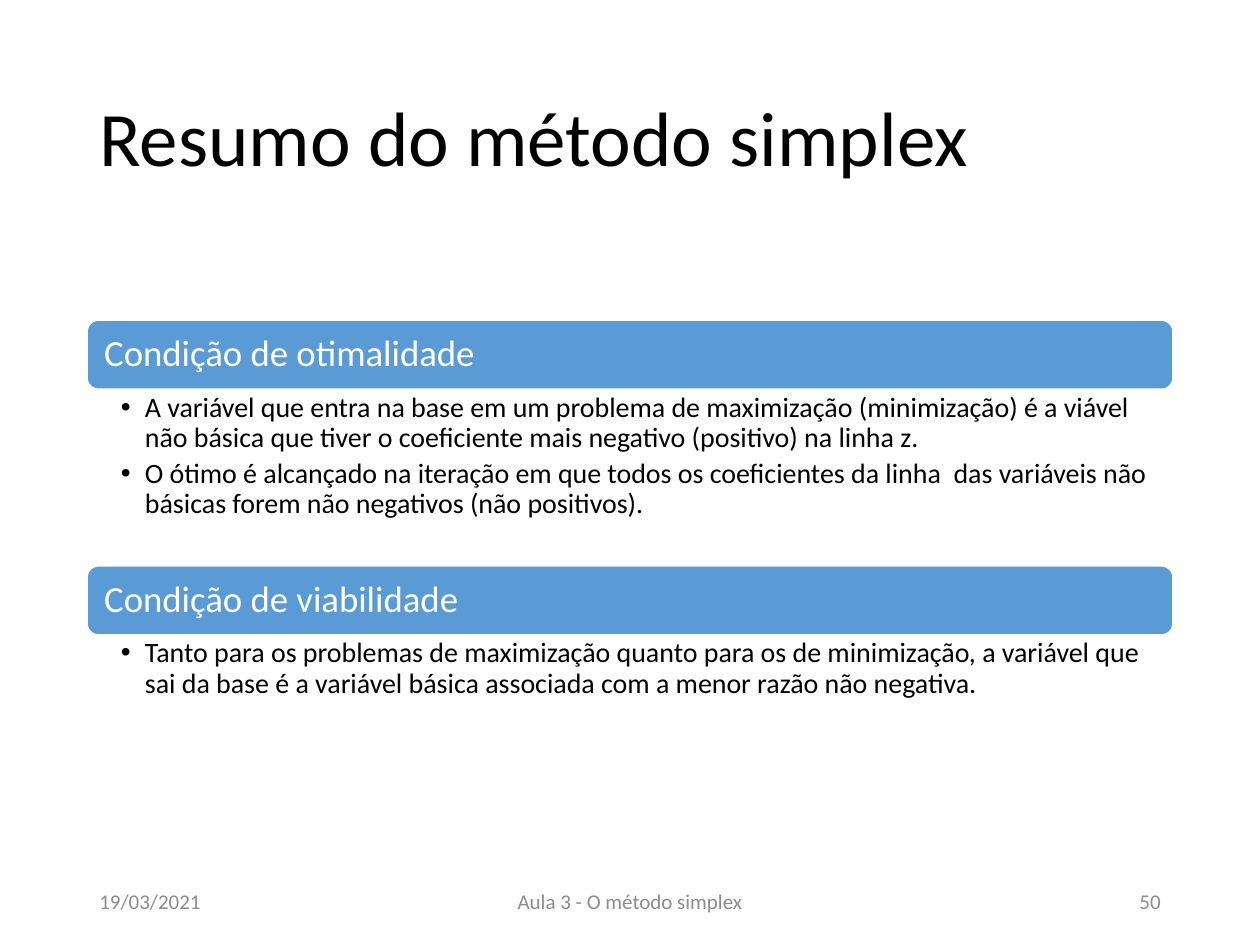
from dataclasses import dataclass

from lxml import etree
from pptx import Presentation
from pptx.dml.color import RGBColor
from pptx.enum.shapes import MSO_SHAPE
from pptx.enum.text import MSO_ANCHOR, PP_ALIGN
from pptx.oxml.ns import qn
from pptx.util import Inches, Pt

ROUND = MSO_SHAPE.ROUNDED_RECTANGLE
TOP, MID = MSO_ANCHOR.TOP, MSO_ANCHOR.MIDDLE
LEFT, MIDDLE, RIGHT = PP_ALIGN.LEFT, PP_ALIGN.CENTER, PP_ALIGN.RIGHT

WIDE, HIGH = 10, 7.5
EDGE = 0.69
SPAN = WIDE - 2 * EDGE
BAR = 0.55
FONT = "Calibri"
COLORS = {"bar": "5B9BD5", "white": "FFFFFF", "ink": "000000", "gray": "8C8C8C"}


@dataclass
class Box:
    x: float
    y: float
    w: float
    h: float


@dataclass
class Style:
    size: float
    color: str
    anchor: MSO_ANCHOR = MID
    align: PP_ALIGN = LEFT
    pads: tuple = (0.1, 0.05, 0.1, 0.05)
    line: float = 1.0
    after: float = 0
    bullet: bool = False


@dataclass
class Part:
    head: str
    items: list
    depth: float


TITLE = Style(44, "ink", line=0.9)
HEAD = Style(21, "white", pads=(0.11, 0.09, 0.11, 0.09), line=0.9)
ITEM = Style(16, "ink", TOP, pads=(0.27, 0.03, 0.16, 0.03),
             line=0.9, after=3.2, bullet=True)

PARTS = [
    Part("Condição de otimalidade", [
        "A variável que entra na base em um problema de maximização (minimização) "
        "é a viável não básica que tiver o coeficiente mais negativo (positivo) na linha z.",
        "O ótimo é alcançado na iteração em que todos os coeficientes da linha  das "
        "variáveis não básicas forem não negativos (não positivos).",
    ], 1.4),
    Part("Condição de viabilidade", [
        "Tanto para os problemas de maximização quanto para os de minimização, a variável "
        "que sai da base é a variável básica associada com a menor razão não negativa.",
    ], 0.86),
]
FOOT = [
    ("19/03/2021", EDGE, 2.25, LEFT),
    ("Aula 3 - O método simplex", 3.31, 3.38, MIDDLE),
    ("50", 7.06, 2.25, RIGHT),
]


def tint(name: str) -> RGBColor:
    return RGBColor.from_string(COLORS[name])


def place(box: Box) -> list:
    return [Inches(n) for n in (box.x, box.y, box.w, box.h)]


def add_dot(para) -> None:
    props = para._p.get_or_add_pPr()
    for key, inch in {"marL": 0.19, "indent": -0.19}.items():
        props.set(key, str(Inches(inch)))
    etree.SubElement(props, qn("a:buFont")).set("typeface", "Arial")
    etree.SubElement(props, qn("a:buChar")).set("char", "•")


def write(frame, lines: list, style: Style) -> None:
    sides = ("margin_left", "margin_top", "margin_right", "margin_bottom")
    form = dict(zip(sides, map(Inches, style.pads)))
    form |= {"word_wrap": True, "vertical_anchor": style.anchor}
    for key, value in form.items():
        setattr(frame, key, value)
    for i, line in enumerate(lines):
        para = frame.add_paragraph() if i else frame.paragraphs[0]
        look = {"alignment": style.align, "line_spacing": style.line,
                "space_after": Pt(style.after)}
        for key, value in look.items():
            setattr(para, key, value)
        if style.bullet:
            add_dot(para)
        run = para.add_run()
        run.text = line
        for key, value in {"name": FONT, "size": Pt(style.size)}.items():
            setattr(run.font, key, value)
        run.font.color.rgb = tint(style.color)


def add_text(slide, box: Box, lines: list, style: Style) -> None:
    write(slide.shapes.add_textbox(*place(box)).text_frame, lines, style)


def add_part(slide, part: Part, top: float) -> float:
    bar = slide.shapes.add_shape(ROUND, *place(Box(EDGE, top, SPAN, BAR)))
    bar.shadow.inherit = False
    bar.fill.solid()
    bar.fill.fore_color.rgb = tint("bar")
    bar.line.color.rgb = tint("white")
    bar.line.width = Pt(1)
    write(bar.text_frame, [part.head], HEAD)
    add_text(slide, Box(EDGE, top + BAR, SPAN, part.depth), part.items, ITEM)
    return top + BAR + part.depth


def main() -> None:
    deck = Presentation()
    deck.slide_width, deck.slide_height = Inches(WIDE), Inches(HIGH)
    slide = deck.slides.add_slide(deck.slide_layouts[6])
    add_text(slide, Box(EDGE, 0.4, SPAN, 1.45), ["Resumo do método simplex"], TITLE)
    top = 2.54
    for part in PARTS:
        top = add_part(slide, part, top)
    for text, x, width, align in FOOT:
        add_text(slide, Box(x, 6.95, width, 0.4), [text],
                 Style(12, "gray", align=align))
    deck.save("out.pptx")


if __name__ == "__main__":
    main()
